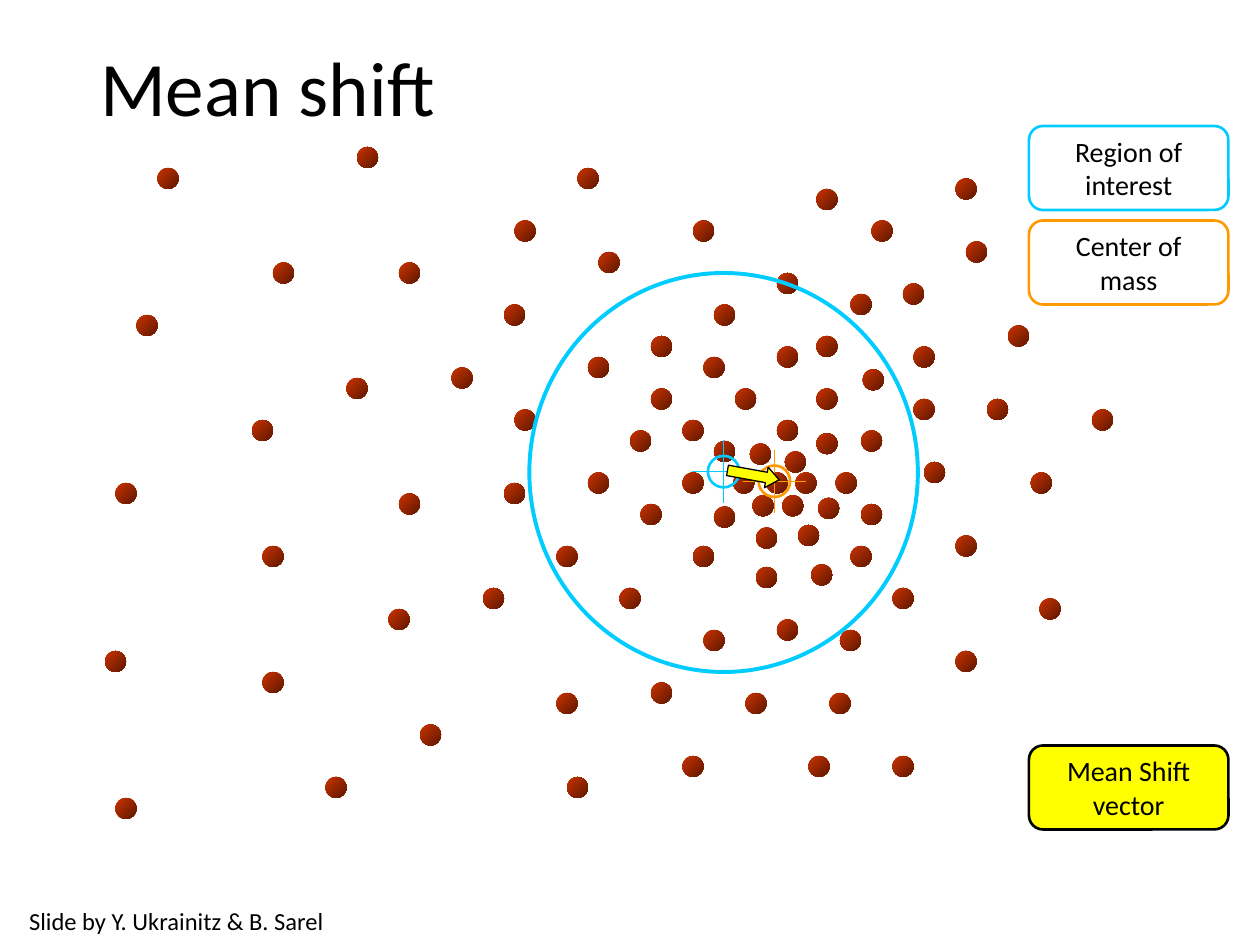
from lxml import etree
from pptx import Presentation
from pptx.dml.color import RGBColor
from pptx.enum import shapes, text
from pptx.oxml import ns
from pptx.util import Pt

FONT = "Calibri"
BLACK, CYAN, ORANGE, YELLOW = "000000", "00CCFF", "FF9900", "FFFF00"
DOT_SIZE = 12
# Left and top of each data point
POINTS = [
    (438, 270), (454.5, 270), (448.5, 258), (428.5, 253.5), (447, 283), (430, 283),
    (467.5, 284.5), (419, 270), (477.5, 270), (466.5, 247.5), (444, 240), (456, 300),
    (432, 301.5), (408, 289.5), (390, 270), (408, 252), (492, 288), (486, 312),
    (463.5, 322.5), (432, 324), (396, 312), (366, 288), (360, 246), (390, 240),
    (420, 222), (466.5, 222), (444, 198), (372, 222), (402, 204), (444, 156),
    (408, 174), (466.5, 192), (466.5, 108), (486, 168), (493, 211), (492, 246),
    (522, 228), (522, 198), (516, 162), (498, 126), (546, 102), (552, 138),
    (576, 186), (528, 264), (564, 228), (624, 234), (546, 306), (589, 270),
    (510, 336), (594, 342), (546, 372), (480, 360), (444, 354), (474, 396),
    (510, 432), (462, 432), (426, 396), (402, 360), (354, 336), (372, 390),
    (390, 432), (324, 444), (318, 396), (276, 336), (318, 312), (336, 270),
    (294, 234), (336, 204), (372, 192), (342, 144), (396, 126), (330, 96),
    (294, 126), (288, 174), (258, 210), (288, 276), (228, 282), (222, 348),
    (240, 414), (186, 444), (150, 384), (150, 312), (198, 216), (228, 150),
    (156, 150), (144, 240), (60, 372), (66, 456), (66, 276), (78, 180),
    (90, 96), (204, 84),
]


def rgb(value):
    return RGBColor.from_string(value)


def add_outlined(parent, kind, box, line, width, fill=None):
    shape = parent.add_shape(kind, *map(Pt, box))
    shape.shadow.inherit = False
    if fill:
        shape.fill.solid()
        shape.fill.fore_color.rgb = rgb(fill)
    else:
        shape.fill.background()
    shape.line.color.rgb = rgb(line)
    shape.line.width = Pt(width)
    return shape


def format_text(frame, size):
    for paragraph in frame.paragraphs:
        for run in paragraph.runs:
            run.font.name = FONT
            run.font.size = Pt(size)
            run.font.color.rgb = rgb(BLACK)


def add_title(slide, box):
    title = slide.shapes.title
    title.left, title.top, title.width, title.height = map(Pt, box)
    frame = title.text_frame
    frame.text = "Mean shift"
    frame.vertical_anchor = text.MSO_ANCHOR.MIDDLE
    frame.paragraphs[0].alignment = text.PP_ALIGN.LEFT
    frame.paragraphs[0].line_spacing = 0.9
    format_text(frame, 44)


def add_data_points(parent):
    for left, top in POINTS:
        dot = parent.add_shape(shapes.MSO_SHAPE.OVAL, Pt(left), Pt(top),
                               Pt(DOT_SIZE), Pt(DOT_SIZE))
        dot.shadow.inherit = False
        dot.line.fill.background()
        dot.fill.gradient()
        dot.fill.gradient_angle = 315
        for stop, colour in zip(dot.fill.gradient_stops, ("CC3300", "5E1800")):
            stop.color.rgb = rgb(colour)


def add_crosshair(parent, x, y, colour, ring=18, arm=18):
    """Draw a ring and two crossing lines centred on (x, y)."""
    add_outlined(parent, shapes.MSO_SHAPE.OVAL,
                 (x - ring / 2, y - ring / 2, ring, ring), colour, 1.5)
    for dx, dy in ((0, arm), (arm, 0)):
        hair = parent.add_connector(shapes.MSO_CONNECTOR.STRAIGHT,
                                    Pt(x - dx), Pt(y - dy), Pt(x + dx), Pt(y + dy))
        hair.line.color.rgb = rgb(colour)
        hair.line.width = Pt(0.75)
        etree.SubElement(hair._element.spPr, ns.qn("a:effectLst"))


def add_region(parent, box):
    left, top, width, height = box
    region = parent.add_group_shape().shapes
    add_outlined(region, shapes.MSO_SHAPE.OVAL, box, CYAN, 2.25)
    add_crosshair(region, left + width / 2, top + height / 2 - 0.5, CYAN)


def add_legend(parent, left, width=114, height=48):
    entries = [
        (72, "Region of\ninterest", CYAN, None),
        (126, "Center of\nmass", ORANGE, None),
        (426, "Mean Shift\nvector", BLACK, YELLOW),
    ]
    for top, label, line, fill in entries:
        key = add_outlined(parent, shapes.MSO_SHAPE.ROUNDED_RECTANGLE,
                           (left, top, width, height), line, 1.5, fill)
        frame = key.text_frame
        frame.text = label
        frame.word_wrap = False
        frame.vertical_anchor = text.MSO_ANCHOR.MIDDLE
        for paragraph in frame.paragraphs:
            paragraph.alignment = text.PP_ALIGN.CENTER
        format_text(frame, 16)


def add_shift_vector(parent, box):
    vector = add_outlined(parent, shapes.MSO_SHAPE.RIGHT_ARROW, box, BLACK, 0.75, YELLOW)
    vector.adjustments[0] = 0.5
    vector.adjustments[1] = 0.62
    vector.rotation = 10.3


def add_credit(parent, box):
    frame = parent.add_textbox(*map(Pt, box)).text_frame
    frame.text = "Slide by Y. Ukrainitz & B. Sarel"
    frame.word_wrap = False
    frame.auto_size = text.MSO_AUTO_SIZE.SHAPE_TO_FIT_TEXT
    format_text(frame, 14)


def main():
    deck = Presentation()
    deck.slide_width, deck.slide_height = Pt(720), Pt(540)
    slide = deck.slides.add_slide(deck.slide_layouts[5])
    parts = slide.shapes
    add_title(slide, (50, 0, 620.5, 104.5))
    add_data_points(parts)
    add_region(parts, (302.5, 156, 222, 228))
    add_legend(parts, 588)
    add_crosshair(parts.add_group_shape().shapes, 442.5, 275, ORANGE)
    add_shift_vector(parts, (415.5, 265.5, 30, 12))
    add_credit(parts, (9.5, 514, 206.5, 24))
    deck.save("out.pptx")


if __name__ == "__main__":
    main()
